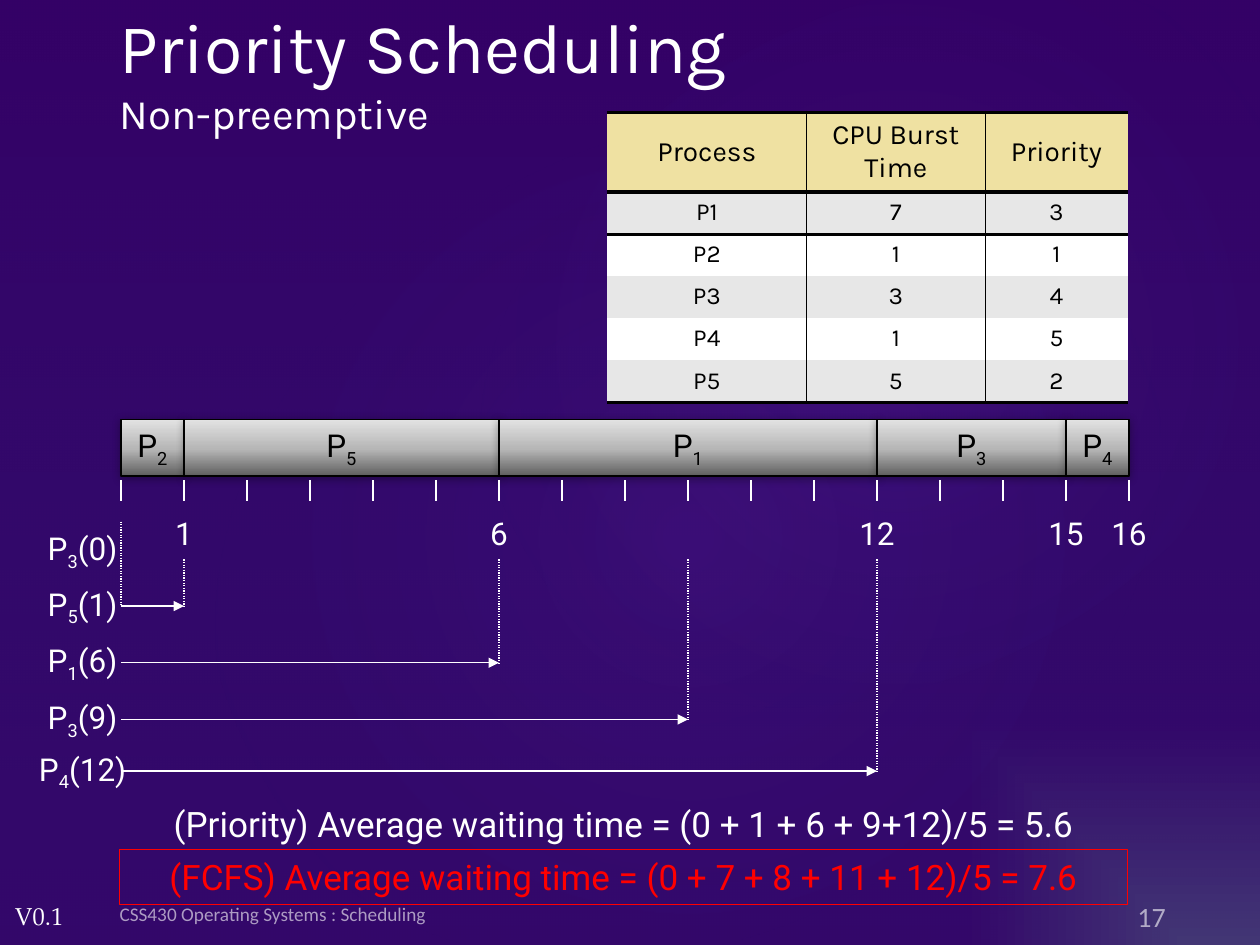
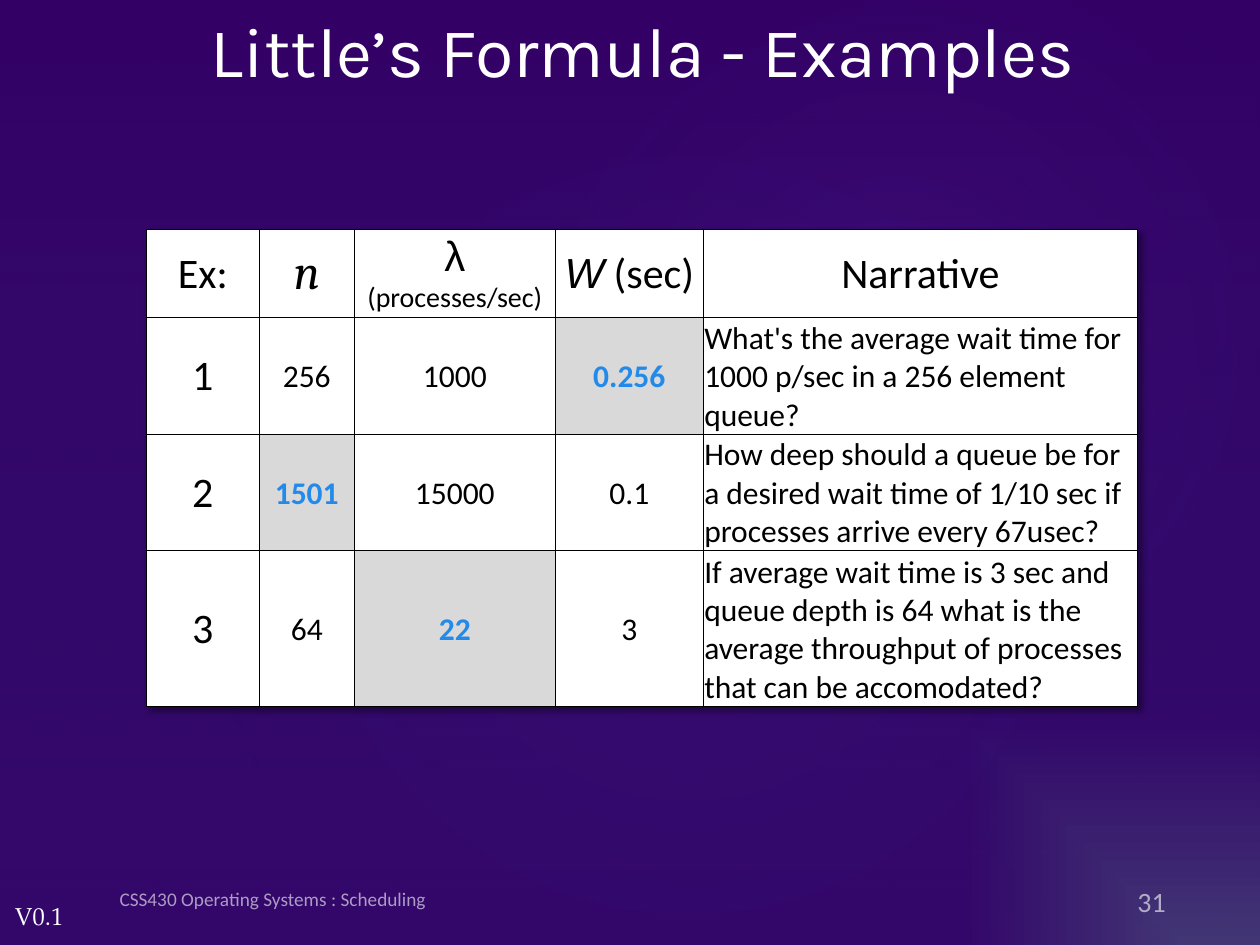
from lxml import etree
from pptx import Presentation
from pptx.dml.color import RGBColor
from pptx.enum import dml, shapes, text
from pptx.oxml import parse_xml
from pptx.oxml.ns import nsdecls, qn
from pptx.util import Inches, Pt

COLORS = {
    "white": "FFFFFF", "black": "000000", "red": "FF0000", "answer": "248AEA",
    "header": "EFE1A2", "band": "E7E7E7", "answer_fill": "D9D9D9",
    "bg_corner": "463673", "bg": "350267", "veil_top": "330066",
    "veil_bottom": "263B86", "glow": "A347FF",
    "bar_dark": "5E5E5E", "bar_mid": "B6B6B6", "bar_light": "E2E2E2",
}
LEFT, CENTER, RIGHT = text.PP_ALIGN.LEFT, text.PP_ALIGN.CENTER, text.PP_ALIGN.RIGHT
TOP, MIDDLE, BOTTOM = text.MSO_ANCHOR.TOP, text.MSO_ANCHOR.MIDDLE, text.MSO_ANCHOR.BOTTOM
RECT, OVAL = shapes.MSO_SHAPE.RECTANGLE, shapes.MSO_SHAPE.OVAL
PLAIN_TABLE = "{2D5ABB26-0587-4C30-8999-92F81FD0307C}"


def rgb(name):
    return RGBColor.from_string(COLORS[name])


def inches(box):
    return [Inches(v) for v in box]


def set_gradient(props, stops, direction):
    """Replace the solid fill in props; stops are (position, colour, opacity) in percent."""
    gs = "".join(
        f'<a:gs pos="{pos * 1000}"><a:srgbClr val="{COLORS[name]}">'
        f'<a:alpha val="{opacity * 1000}"/></a:srgbClr></a:gs>'
        for pos, name, opacity in stops)
    solid = props.find(qn("a:solidFill"))
    props.replace(solid, parse_xml(
        f'<a:gradFill {nsdecls("a")} rotWithShape="1"><a:gsLst>{gs}</a:gsLst>{direction}</a:gradFill>'))


def linear(angle):
    return f'<a:lin ang="{angle * 60000}" scaled="0"/>'


def focus(kind, l, t, r, b):
    return (f'<a:path path="{kind}"><a:fillToRect l="{l}000" t="{t}000" '
            f'r="{r}000" b="{b}000"/></a:path>')


def shadow_xml(opacity, blur, distance, angle):
    return parse_xml(
        f'<a:effectLst {nsdecls("a")}><a:outerShdw blurRad="{Pt(blur)}" dist="{Pt(distance)}" '
        f'dir="{angle * 60000}" rotWithShape="0"><a:srgbClr val="{COLORS["black"]}">'
        f'<a:alpha val="{opacity * 1000}"/></a:srgbClr></a:outerShdw></a:effectLst>')


def style_run(r, size, font, color="white", bold=False, italic=False, opacity=100):
    r.font.size, r.font.name = Pt(size), font
    r.font.bold, r.font.italic = bold, italic
    r.font.color.rgb = rgb(color)
    if opacity < 100:
        clr = r.font.color._color._xClr
        etree.SubElement(clr, qn("a:alpha")).set("val", str(opacity * 1000))


def style_text(tf, align=LEFT, **style):
    for p in tf.paragraphs:
        p.alignment = align
        for r in p.runs:
            style_run(r, **style)


def add_text(slide, box, content, align=LEFT, anchor=TOP, wrap=True, **style):
    tf = slide.shapes.add_textbox(*inches(box)).text_frame
    tf.word_wrap, tf.vertical_anchor = wrap, anchor
    tf.text = content
    style_text(tf, align, **style)
    return tf


def write_process(tf, number, suffix="", color="white"):
    """Write P with a subscript number, centred, then the suffix."""
    p = tf.paragraphs[0]
    p.alignment = CENTER
    tf.vertical_anchor = MIDDLE
    for part in filter(None, ("P", str(number), suffix)):
        r = p.add_run()
        r.text = part
        style_run(r, 18, "Roboto", color)
    p.runs[1]._r.get_or_add_rPr().set("baseline", "-25000")


def add_line(slide, x1, y1, x2, y2, dotted=False, arrow=False):
    ln = slide.shapes.add_connector(shapes.MSO_CONNECTOR.STRAIGHT, *inches((x1, y1, x2, y2)))
    ln.line.color.rgb, ln.line.width = rgb("white"), Pt(0.75)
    if dotted:
        ln.line.dash_style = dml.MSO_LINE.ROUND_DOT
    if arrow:
        etree.SubElement(ln.line._get_or_add_ln(), qn("a:tailEnd")).set("type", "triangle")
    etree.SubElement(ln._element.spPr, qn("a:effectLst"))


def add_shape(slide, kind, box, fill=None):
    sp = slide.shapes.add_shape(kind, *inches(box))
    sp.shadow.inherit = False
    sp.line.fill.background()
    if fill:
        sp.fill.solid()
        set_gradient(sp._element.spPr, *fill)
    else:
        sp.fill.background()
    return sp


def backdrop(slide):
    slide.background.fill.solid()
    set_gradient(slide.element.find(".//" + qn("p:bgPr")),
                 [(0, "bg_corner", 100), (47, "bg", 100)], focus("rect", 100, 100, 0, 0))
    add_shape(slide, RECT, (0, 0, 10, 7.5),
              ([(0, "veil_top", 36), (100, "veil_bottom", 10)], linear(90)))
    for box, opacity in (((1.5, 1.14, 7.92, 6.24), 7), ((3.58, 0.13, 7.09, 5.2), 8)):
        glow = add_shape(slide, OVAL, box, ([(0, "glow", opacity), (58, "veil_bottom", 0)],
                                            focus("circle", 50, 50, 50, 50)))
        glow.rotation = 328.7


def footers(slide, number, top):
    add_text(slide, (0.02, 7.1, 0.59, 0.34), "V0.1", wrap=False,
             size=14, font="TeX Gyre Pagella")
    add_text(slide, (0.85, top, 5.05, 0.4), "CSS430 Operating Systems : Scheduling",
             anchor=MIDDLE, size=11, font="Calibri", opacity=60)
    tf = add_text(slide, (8.23, top, 1.12, 0.4), str(number), RIGHT, MIDDLE,
                  size=16, font="Calibri", opacity=60)
    tf.margin_bottom = Inches(0.01)


def new_slide(prs, title, title_height, number, footer_top, align=LEFT):
    slide = prs.slides.add_slide(prs.slide_layouts[6])
    backdrop(slide)
    footers(slide, number, footer_top)
    tf = add_text(slide, (0.85, 0, 8.5, title_height), title, align, MIDDLE,
                  size=40, font="Karla")
    return slide, tf


def add_grid(slide, left, top, widths, heights):
    """Add an unstyled table with the given column widths and row heights."""
    frame = slide.shapes.add_table(len(heights), len(widths),
                                   *inches((left, top, sum(widths), sum(heights))))
    tbl = frame.table
    tbl.first_row = tbl.horz_banding = False
    tbl._tbl.tblPr.find(qn("a:tableStyleId")).text = PLAIN_TABLE
    for col, w in zip(tbl.columns, widths):
        col.width = Inches(w)
    for row, h in zip(tbl.rows, heights):
        row.height = Inches(h)
    return tbl


def fill_cell(cell, color, borders):
    """Fill a cell; borders maps sides (L, R, T, B) to widths in points."""
    cell.fill.solid()
    cell.fill.fore_color.rgb = rgb(color)
    for side in "BTRL":
        if borders.get(side):
            cell._tc.get_or_add_tcPr().insert(0, parse_xml(
                f'<a:ln{side} {nsdecls("a")} w="{Pt(borders[side])}"><a:solidFill>'
                f'<a:srgbClr val="{COLORS["black"]}"/></a:solidFill></a:ln{side}>'))


def process_table(slide, left, top):
    rows = [("Process", "CPU Burst\nTime", "Priority"), ("P1", 7, 3), ("P2", 1, 1),
            ("P3", 3, 4), ("P4", 1, 5), ("P5", 5, 2)]
    tbl = add_grid(slide, left, top, [1.58, 1.42, 1.13], [0.63] + [0.33] * 5)
    last = len(rows) - 1
    for i, row in enumerate(rows):
        fill = "header" if i == 0 else "band" if i % 2 else "white"
        for j, value in enumerate(row):
            cell = tbl.cell(i, j)
            cell.text = str(value)
            cell.vertical_anchor = TOP if i else MIDDLE
            style_text(cell.text_frame, CENTER, size=14 if i else 16, font="Karla", color="black")
            fill_cell(cell, fill, {"L": 1 if j else 0, "R": 1 if j < 2 else 0,
                                   "T": 2 if i < 2 else 0, "B": 2 if i in (0, last) else 0})


def gantt_chart(slide, left, top, unit):
    """Draw the bars, time scale and waiting times; unit is the width of one time step."""
    bars = [(2, 1), (5, 5), (1, 6), (3, 3), (4, 1)]
    metal = [(0, "bar_dark", 100), (48, "bar_mid", 100), (100, "bar_light", 100)]
    time = 0
    for process, burst in bars:
        bar = add_shape(slide, RECT, (left + time * unit, top, burst * unit, 0.45),
                        (metal, linear(270)))
        bar.line.color.rgb, bar.line.width = rgb("black"), Pt(1)
        props = bar._element.spPr
        props.replace(props.find(qn("a:effectLst")), shadow_xml(32, 5, 1, 90))
        bar.text_frame.margin_left = bar.text_frame.margin_right = 0
        write_process(bar.text_frame, process, color="black")
        time += burst
        add_text(slide, (left + time * unit - 0.24, top + 0.7, 0.48, 0.4), str(time),
                 CENTER, MIDDLE, False, size=18, font="Roboto")
    for tick in range(time + 1):
        x = left + tick * unit
        add_line(slide, x, top + 0.48, x, top + 0.65)

    waits = [(3, 0, 1.04), (5, 1, 1.48), (1, 6, 1.93), (3, 9, 2.38), (4, 12, 2.79)]
    for process, wait, offset in waits:
        y, x = top + offset, left + wait * unit
        tf = add_text(slide, (left - 0.76, y - 0.2, 0.91, 0.4), "", wrap=False,
                      size=18, font="Roboto")
        write_process(tf, process, f"({wait})")
        if wait:
            add_line(slide, left, y, x, y, arrow=True)
            add_line(slide, x, top + 1.11, x, y, dotted=True)
    add_line(slide, left, top + 0.81, left, top + 1.48, dotted=True)


def averages(slide, left, top, width):
    add_text(slide, (left, top, width, 0.44),
             "(Priority) Average waiting time = (0 + 1 + 6 + 9+12)/5 = 5.6",
             CENTER, size=20, font="Roboto")
    sp = add_shape(slide, RECT, (left, top + 0.42, width, 0.44))
    sp.line.color.rgb, sp.line.width = rgb("red"), Pt(0.75)
    tf = sp.text_frame
    tf.text = "(FCFS) Average waiting time = (0 + 7 + 8 + 11 + 12)/5 = 7.6"
    tf.vertical_anchor = TOP
    style_text(tf, CENTER, size=20, font="Roboto", color="red")


def examples_table(slide, left, top):
    rows = [
        ("Ex:", "n", "λ\n(processes/sec)", "W", "Narrative"),
        ("1", "256", "1000", "0.256",
         "What's the average wait time for 1000 p/sec in a 256 element queue?"),
        ("2", "1501", "15000", "0.1",
         "How deep should a queue be for a desired wait time of 1/10 sec if "
         "processes arrive every 67usec?"),
        ("3", "64", "22", "3",
         "If average wait time is 3 sec and queue depth is 64 what is the average "
         "throughput of processes that can be accomodated?"),
    ]
    answers = {(1, 3), (2, 1), (3, 2)}
    tbl = add_grid(slide, left, top, [0.9, 0.75, 1.6, 1.17, 3.45], [0.7, 0.93, 0.92, 1.24])
    tbl._tbl.tblPr.insert(0, shadow_xml(40, 4, 3, 45))
    for i, row in enumerate(rows):
        for j, value in enumerate(row):
            cell, answer = tbl.cell(i, j), (i, j) in answers
            narrative = i > 0 and j == 4
            cell.text = value
            cell.margin_left = cell.margin_right = cell.margin_top = Inches(0.01)
            cell.margin_bottom = 0
            cell.vertical_anchor = BOTTOM if narrative else MIDDLE
            style_text(cell.text_frame, LEFT if narrative else CENTER,
                       size=24 if i == 0 or j == 0 else 18, font="Calibri",
                       color="answer" if answer else "black", bold=answer)
            fill_cell(cell, "answer_fill" if answer else "white", dict.fromkeys("LRTB", 0.5))

    n, rate, wait = (tbl.cell(0, j).text_frame.paragraphs for j in (1, 2, 3))
    style_run(n[0].runs[0], 28, "Cambria", "black", italic=True)
    style_run(rate[0].runs[0], 24, "Arial", "black")
    style_run(rate[1].runs[0], 16, "Calibri", "black")
    style_run(wait[0].runs[0], 24, "Arial", "black", italic=True)
    seconds = wait[0].add_run()
    seconds.text = " (sec)"
    style_run(seconds, 24, "Calibri", "black")


def priority_slide(prs):
    slide, title = new_slide(prs, "Priority Scheduling\vNon-preemptive", 1.13, 17, 7.05)
    title.paragraphs[0].runs[1].font.size = Pt(24)
    process_table(slide, 4.82, 0.89)
    gantt_chart(slide, 0.96, 3.33, 0.5)
    averages(slide, 0.95, 6.32, 8)


def formula_slide(prs):
    slide, _ = new_slide(prs, "Little’s Formula - Examples", 0.79, 31, 6.93, CENTER)
    examples_table(slide, 1.16, 1.82)


def main():
    prs = Presentation()
    prs.slide_width, prs.slide_height = Inches(10), Inches(7.5)
    priority_slide(prs)
    formula_slide(prs)
    prs.save("out.pptx")


if __name__ == "__main__":
    main()
